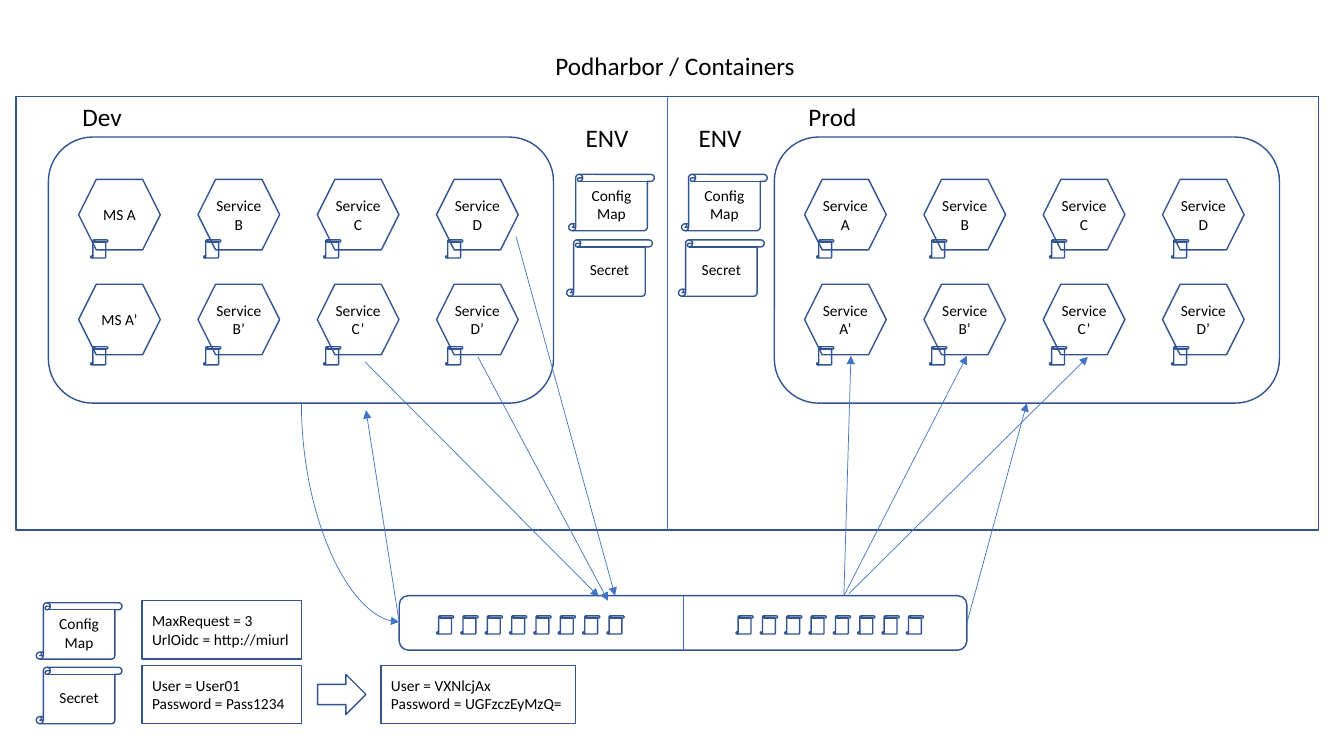
"""Build the slide of a container platform with its Dev and Prod environments."""
from lxml.etree import SubElement
from pptx import Presentation
from pptx.dml.color import RGBColor
from pptx.enum.shapes import MSO_CONNECTOR, MSO_SHAPE
from pptx.enum.text import MSO_ANCHOR, PP_ALIGN
from pptx.oxml.ns import qn
from pptx.util import Inches, Pt

OUTLINE, ARROW, INK = "325491", "4472C4", "000000"


def write(frame, lines, size, align):
    for number, line in enumerate(lines):
        para = frame.add_paragraph() if number else frame.paragraphs[0]
        para.alignment = align
        span = para.add_run()
        span.text = line
        span.font.name, span.font.size = "Calibri", Pt(size)
        span.font.color.rgb = RGBColor.from_string(INK)


def draw(kind, left, top, width, height, lines=(), align=PP_ALIGN.CENTER):
    box = page.shapes.add_shape(kind, Inches(left), Inches(top), Inches(width), Inches(height))
    box.shadow.inherit = False
    box.fill.background()
    box.line.color.rgb = RGBColor.from_string(OUTLINE)
    box.line.width = Pt(1)
    box.text_frame.vertical_anchor = MSO_ANCHOR.MIDDLE
    write(box.text_frame, lines, 11, align)
    return box


deck = Presentation()
deck.slide_width, deck.slide_height = Inches(13.33), Inches(7.5)
page = deck.slides.add_slide(deck.slide_layouts[6])

cluster = draw(MSO_SHAPE.RECTANGLE, 0.16, 0.96, 12.92, 4.3)

panels = []
for panel_left, first_name in ((0.48, "MS A"), (7.68, "Service A")):
    panels.append(draw(MSO_SHAPE.ROUNDED_RECTANGLE, panel_left, 1.36, 5.01, 2.64))
    names = (first_name, "Service B", "Service C", "Service D")
    for row, mark in enumerate(("", "’")):
        for column, name in enumerate(names):
            service = draw(MSO_SHAPE.HEXAGON, panel_left + 0.3 + 3.55 / 3 * column,
                           1.78 + 1.04 * row, 0.81, 0.7, [name + mark])
            for side in ("left", "top", "right", "bottom"):
                setattr(service.text_frame, f"margin_{side}", 0)
        for scroll_offset in (0.42, 1.54, 2.73, 3.94):
            draw(MSO_SHAPE.VERTICAL_SCROLL, panel_left + scroll_offset, 2.38 + 1.06 * row, 0.17, 0.18)

store = draw(MSO_SHAPE.ROUNDED_RECTANGLE, 3.96, 5.91, 5.63, 0.54)
for group_left in (4.33, 7.3):
    for position in range(8):
        draw(MSO_SHAPE.VERTICAL_SCROLL, group_left + 1.69 / 7 * position, 6.11, 0.17, 0.18)

for config_left, config_top, secret_left, secret_top in (
        (5.64, 1.73, 5.62, 2.38), (6.76, 1.73, 6.73, 2.38), (0.36, 5.98, 0.36, 6.62)):
    draw(MSO_SHAPE.VERTICAL_SCROLL, config_left, config_top, 0.85, 0.56, ["Config Map"])
    draw(MSO_SHAPE.VERTICAL_SCROLL, secret_left, secret_top, 0.85, 0.56, ["Secret"])

for left, top, width, lines in (
        (1.41, 5.96, 1.58, ["MaxRequest = 3", "UrlOidc = http://miurl"]),
        (1.41, 6.6, 1.58, ["User = User01", "Password = Pass1234"]),
        (3.78, 6.6, 1.93, ["User = VXNlcjAx", "Password = UGFzczEyMzQ="])):
    draw(MSO_SHAPE.RECTANGLE, left, top, width, 0.58, lines, PP_ALIGN.LEFT)
draw(MSO_SHAPE.RIGHT_ARROW, 3.15, 6.69, 0.48, 0.4)

for left, top, width, title in (
        (5.41, 0.45, 2.65, "Podharbor / Containers"),
        (0.72, 0.96, 0.6, "Dev"), (7.92, 0.96, 0.68, "Prod"),
        (5.71, 1.16, 0.63, "ENV"), (6.83, 1.16, 0.63, "ENV")):
    label = page.shapes.add_textbox(Inches(left), Inches(top), Inches(width), Inches(0.4))
    label.text_frame.word_wrap = False
    write(label.text_frame, [title], 18, PP_ALIGN.LEFT)

dev, prod = panels
STRAIGHT, CURVE = MSO_CONNECTOR.STRAIGHT, MSO_CONNECTOR.CURVE
for kind, start, finish, source, target, pointed in (
        (STRAIGHT, (6.62, 0.96), (6.62, 5.26), (cluster, 0), (cluster, 2), False),
        (STRAIGHT, (6.78, 5.91), (6.78, 6.45), (store, 0), (store, 2), False),
        (STRAIGHT, (8.37, 5.91), (8.44, 3.53), None, None, True),
        (STRAIGHT, (8.37, 5.91), (9.59, 3.53), None, None, True),
        (STRAIGHT, (8.42, 5.89), (10.79, 3.54), None, None, True),
        (STRAIGHT, (4.74, 3.54), (6.03, 5.96), None, None, True),
        (STRAIGHT, (3.62, 3.59), (5.94, 5.92), None, None, True),
        (STRAIGHT, (5.12, 2.35), (6.1, 5.91), None, None, True),
        (STRAIGHT, (9.59, 6.18), (10.19, 4), (store, 3), (prod, 2), True),
        (STRAIGHT, (3.96, 6.18), (3.63, 4.07), (store, 1), None, True),
        (CURVE, (2.99, 4), (3.96, 6.18), (dev, 2), (store, 1), True)):
    link = page.shapes.add_connector(kind, *map(Inches, start + finish))
    if source:
        link.begin_connect(*source)
    if target:
        link.end_connect(*target)
    link.line.color.rgb = RGBColor.from_string(ARROW)
    link.line.width = Pt(0.5)
    properties = link._element.spPr
    if pointed:
        SubElement(properties.find(qn("a:ln")), qn("a:tailEnd"), type="triangle")
    SubElement(properties, qn("a:effectLst"))
    if kind == CURVE:
        properties.find(qn("a:prstGeom")).set("prst", "curvedConnector2")
        for key, value in {"rot": "16200000", "flipH": "1"}.items():
            properties.find(qn("a:xfrm")).set(key, value)
        for key, value in {"left": 2.39, "top": 4.6, "width": 2.17, "height": 0.97}.items():
            setattr(link, key, Inches(value))

deck.save("out.pptx")
